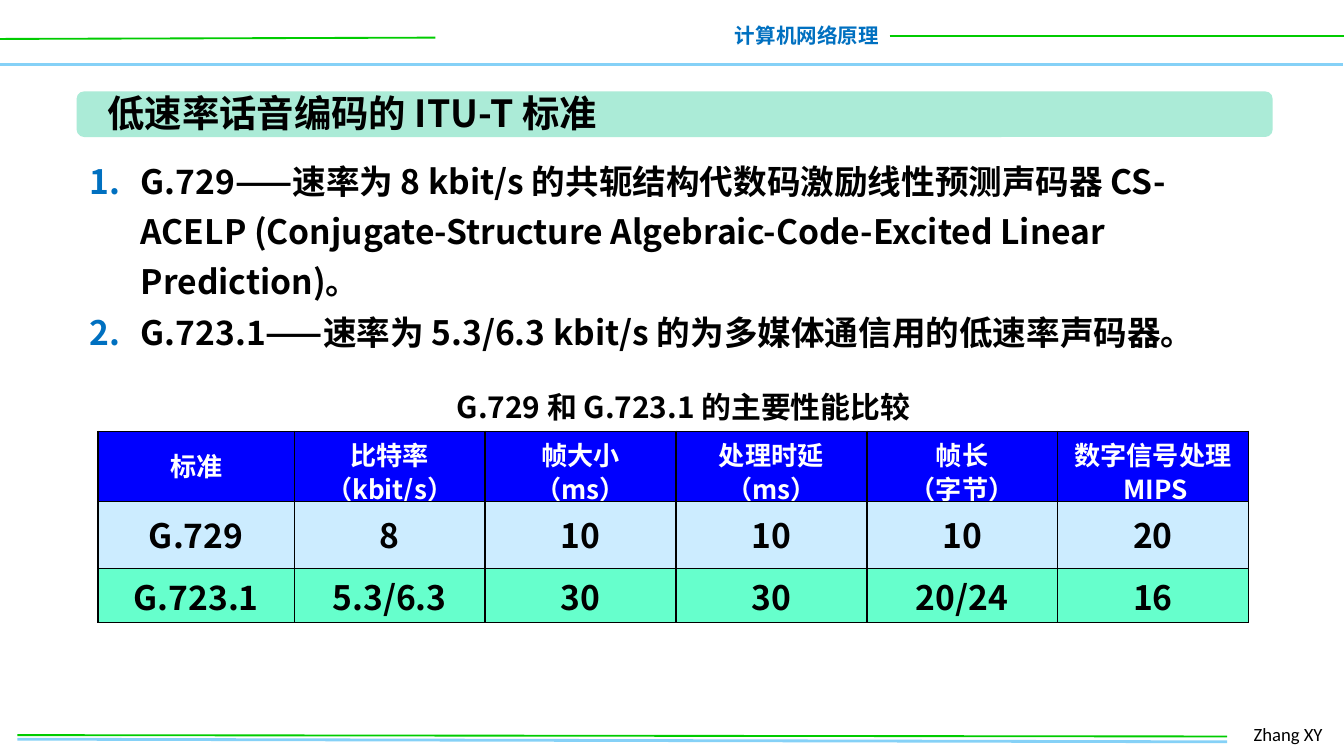
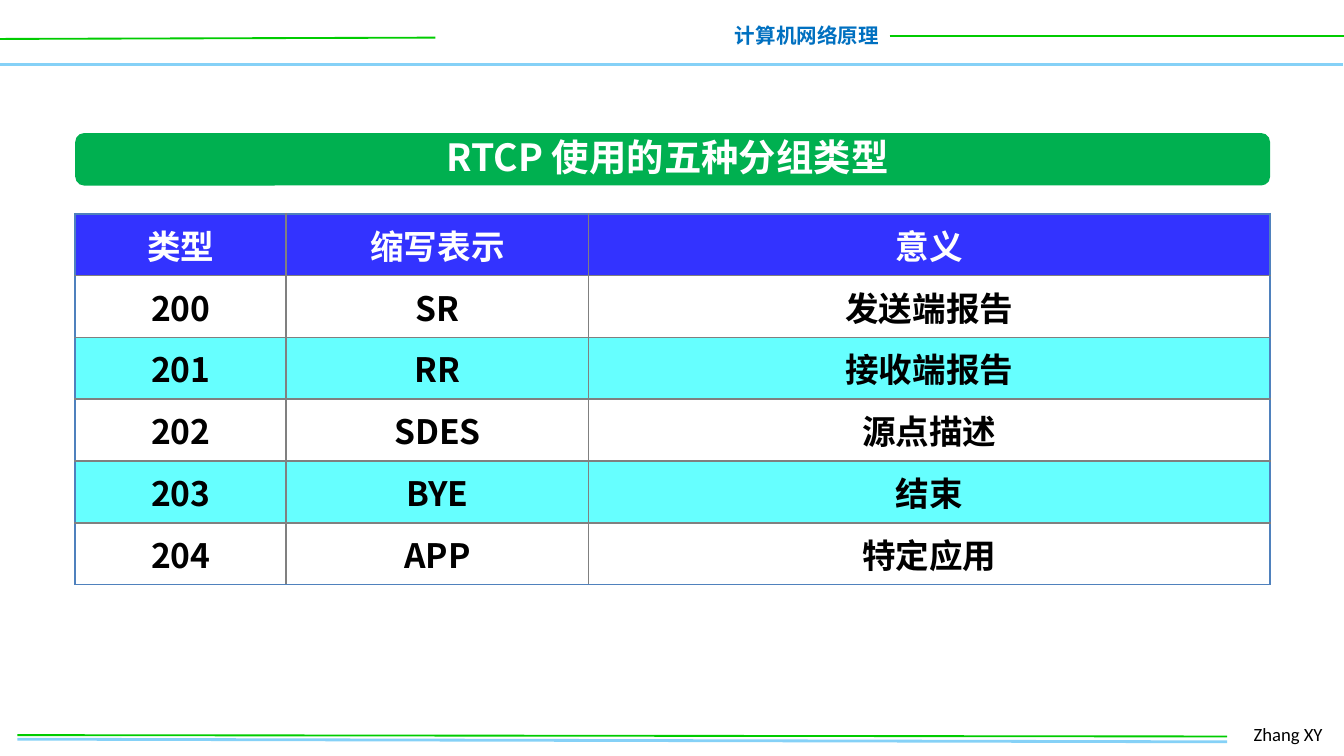
from lxml.etree import SubElement
from pptx import Presentation
from pptx.dml.color import RGBColor
from pptx.enum.shapes import MSO_CONNECTOR as LINK, MSO_SHAPE as SHAPE
from pptx.enum.text import MSO_ANCHOR as ANCHOR, MSO_AUTO_SIZE as AUTO, PP_ALIGN as ALIGN
from pptx.oxml.ns import qn
from pptx.util import Inches, Pt

rgb = RGBColor.from_string
HEAVY, PLAIN = "Noto Sans CJK SC", "Calibri"
BLACK, WHITE, BLUE = "000000", "FFFFFF", "0070C0"
GREEN, SKY, GRAY, EDGE = "00CC00", "85D1F7", "808080", "4F81BD"
LEFT, MID, RIGHT = ALIGN.LEFT, ALIGN.CENTER, ALIGN.RIGHT


def write(frame, text, size, color, align=MID, font=HEAVY, pitch=None):
    """Fill a text frame and format all its runs; pitch is the line spacing."""
    frame.text = text
    for para in frame.paragraphs:
        para.alignment = align
        para.line_spacing = pitch
        for run in para.runs:
            run.font.size = Pt(size)
            run.font.bold = font == HEAVY
            run.font.name = font
            run.font.color.rgb = rgb(color)
            SubElement(run.font._element, qn("a:ea"), typeface=font)


def border(cell, side, color):
    """Draw one edge of a cell; side is L, R, T or B."""
    line = SubElement(cell._tc.get_or_add_tcPr(), qn("a:ln" + side), w=str(Pt(1)))
    SubElement(SubElement(line, qn("a:solidFill")), qn("a:srgbClr"), val=color)


# Shared frame: x1, y1, x2, y2, colour, width
RULES = [
    (-0.01, 0.48, 9.99, 0.48, SKY, 2),
    (0, 0.29, 3.24, 0.28, GREEN, 1),
    (6.62, 0.27, 10.01, 0.27, GREEN, 1),
    (0.13, 5.5, 9.13, 5.52, SKY, 1.5),
    (0.13, 5.47, 9.13, 5.48, GREEN, 1),
]
# Text boxes: place, text, size, colour, align, font, line pitch, wrap
LABELS = [
    ((5.36, 0.12, 1.28, 0.29), "计算机网络原理", 11, BLUE, RIGHT, HEAVY, None, False),
    ((9.23, 5.33, 0.74, 0.27), "Zhang XY", 10, BLACK, LEFT, PLAIN, None, True),
]
POINTS = (
    "G.729——速率为 8 kbit/s 的共轭结构代数码激励线性预测声码器 CS-ACELP "
    "(Conjugate-Structure Algebraic-Code-Excited Linear Prediction)。\n"
    "G.723.1——速率为 5.3/6.3 kbit/s 的为多媒体通信用的低速率声码器。"
)
CODECS = [
    ["标准", "比特率\n（kbit/s）", "帧大小\n（ms）", "处理时延\n（ms）",
     "帧长\n（字节）", "数字信号处理\n MIPS"],
    ["G.729", "8", "10", "10", "10", "20"],
    ["G.723.1", "5.3/6.3", "30", "30", "20/24", "16"],
]
PACKETS = [
    ["类型", "缩写表示", "意义"],
    ["200", "SR", "发送端报告"],
    ["201", "RR", "接收端报告"],
    ["202", "SDES", "源点描述"],
    ["203", "BYE", "结束"],
    ["204", "APP", "特定应用"],
]
PAGES = [
    dict(
        band=((0.57, 0.68, 8.9, 0.34), "ABEBD7"),
        boxes=[
            ((0.7, 0.62, 4.04, 0.44), "低速率话音编码的 ITU-T 标准",
             20, BLACK, LEFT, HEAVY, None, False),
            ((0.57, 1.07, 8.9, 1.62), POINTS, 18, BLACK, LEFT, HEAVY, Pt(27), True),
            ((2.94, 2.84, 4.29, 0.37), "G.729 和 G.723.1 的主要性能比较",
             16, BLACK, MID, HEAVY, None, True),
        ],
        data=CODECS, place=(0.73, 3.21, 8.54, 1.43),
        cols=[1.46] + [1.42] * 5, rows=[0.5, 0.5, 0.4],
        fills=["0000FF", "CCECFF", "66FFCC"], head=14, pitch=0.9,
        outer=BLACK, inner=BLACK, pad=(0.1, 0.05),
    ),
    dict(
        band=((0.56, 0.99, 8.89, 0.39), "00B050"),
        boxes=[
            ((3.19, 0.95, 3.62, 0.44), "RTCP 使用的五种分组类型 ",
             20, WHITE, MID, HEAVY, None, False),
        ],
        data=PACKETS, place=(0.56, 1.59, 8.89, 2.75),
        cols=[1.57, 2.25, 5.07], rows=[0.46] * 6,
        fills=["3333FF"] + [WHITE, "66FFFF"] * 2 + [WHITE], head=18, pitch=None,
        outer=EDGE, inner=GRAY, pad=(0.07, 0),
    ),
]

deck = Presentation()
deck.slide_width = Inches(10)
deck.slide_height = deck.slide_width * 9 // 16

for page in PAGES:
    slide = deck.slides.add_slide(deck.slide_layouts[6])
    shapes = slide.shapes

    for *ends, color, width in RULES:
        rule = shapes.add_connector(LINK.STRAIGHT, *map(Inches, ends))
        rule.line.color.rgb = rgb(color)
        rule.line.width = Pt(width)
        SubElement(rule._element.spPr, qn("a:effectLst"))

    place, color = page["band"]
    band = shapes.add_shape(SHAPE.ROUNDED_RECTANGLE, *map(Inches, place))
    band.shadow.inherit = False
    band.fill.solid()
    band.fill.fore_color.rgb = rgb(color)
    band.line.fill.background()

    for place, text, size, color, align, font, pitch, wrap in LABELS + page["boxes"]:
        frame = shapes.add_textbox(*map(Inches, place)).text_frame
        frame.word_wrap = wrap
        frame.auto_size = AUTO.SHAPE_TO_FIT_TEXT
        write(frame, text, size, color, align, font, pitch)
        if text == POINTS:
            for para in frame.paragraphs:
                props = para._p.get_or_add_pPr()
                props.set("marL", str(Inches(0.38)))
                props.set("indent", str(Inches(-0.38)))
                tint = SubElement(props, qn("a:buClr"))
                SubElement(tint, qn("a:srgbClr"), val=BLUE)
                SubElement(props, qn("a:buFont"), typeface=HEAVY)
                SubElement(props, qn("a:buAutoNum"), type="arabicPeriod")

    data, cols, rows = page["data"], page["cols"], page["rows"]
    place = [Inches(n) for n in page["place"]]
    holder = shapes.add_table(len(rows), len(cols), *place)
    table = holder.table
    table.first_row = table.horz_banding = False
    for col, width in zip(table.columns, cols):
        col.width = Inches(width)
    for row, height in zip(table.rows, rows):
        row.height = Inches(height)
    holder.height = place[3]

    side, top = map(Inches, page["pad"])
    for r, line in enumerate(data):
        for c, text in enumerate(line):
            cell = table.cell(r, c)
            cell.vertical_anchor = ANCHOR.MIDDLE
            cell.margin_left = cell.margin_right = side
            cell.margin_top = cell.margin_bottom = top
            size, color = (18, BLACK) if r else (page["head"], WHITE)
            write(cell.text_frame, text, size, color, pitch=page["pitch"])
            rims = dict(L=c == 0, R=c == len(cols) - 1, T=r == 0, B=r == len(rows) - 1)
            for key, rim in rims.items():
                border(cell, key, page["outer"] if rim else page["inner"])
            cell.fill.solid()
            cell.fill.fore_color.rgb = rgb(page["fills"][r])

deck.save("out.pptx")
